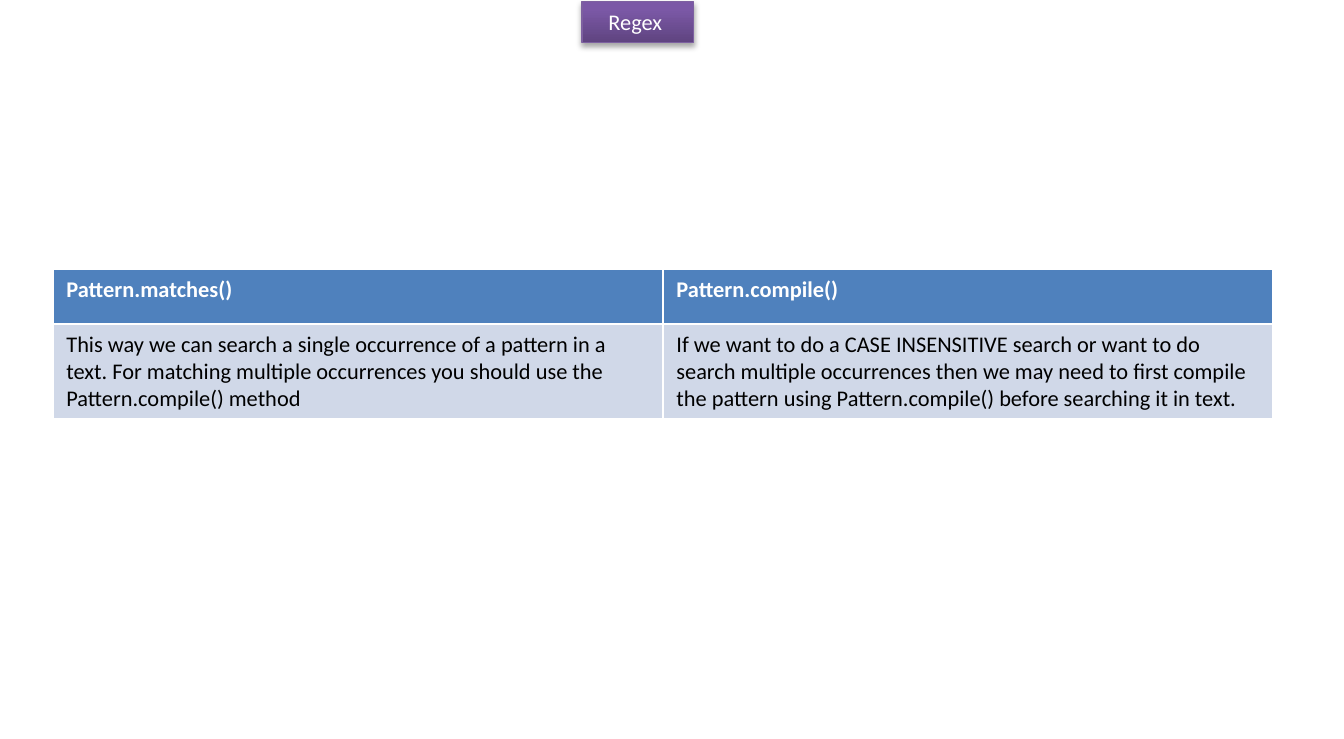
"""Build a slide that sets Pattern.matches() beside Pattern.compile()."""
from copy import deepcopy

from lxml.etree import SubElement
from pptx import Presentation
from pptx.dml.color import RGBColor
from pptx.enum.shapes import MSO_SHAPE
from pptx.enum.text import MSO_AUTO_SIZE, PP_ALIGN
from pptx.oxml.ns import qn
from pptx.util import Cm, Pt

ROWS = [
    ("Pattern.matches()", "Pattern.compile()"),
    (
        "This way we can search a single occurrence of a pattern in a text. "
        "For matching multiple occurrences you should use the Pattern.compile() method",
        "If we want to do a CASE INSENSITIVE search or want to do search multiple "
        "occurrences then we may need to first compile the pattern using "
        "Pattern.compile() before searching it in text.",
    ),
]


def tint(code):
    return RGBColor.from_string(code)


class Deck:
    base = {"name": "Calibri", "size": Pt(12), "bold": False}
    looks = [
        {"fill": "4F81BD", "ink": "FFFFFF", "bold": True, "high": 1.04},
        {"fill": "D0D8E8", "ink": "000000", "bold": False, "high": 1.78},
    ]
    stops = [(0, "5F4480"), (0.8, "7B58A6"), (1, "7C57A8")]

    def __init__(self, wide, high):
        self.show = Presentation()
        self.show.slide_width, self.show.slide_height = Cm(wide), Cm(high)
        self.slide = self.show.slides.add_slide(self.show.slide_layouts[6])

    def label(self, frame, text, ink, **extra):
        line = frame.paragraphs[0]
        run = line.add_run()
        run.text = text
        for key, value in {**self.base, **extra}.items():
            setattr(run.font, key, value)
        run.font.color.rgb = tint(ink)
        return line

    def badge(self, text, *box):
        shape = self.slide.shapes.add_shape(MSO_SHAPE.RECTANGLE, *map(Cm, box))
        self.blend(shape)
        shape.line.color.rgb = tint("7D60A0")
        shape.line.width = Pt(0.75)
        self.shade(shape)
        frame = shape.text_frame
        frame.auto_size = MSO_AUTO_SIZE.SHAPE_TO_FIT_TEXT
        self.label(frame, text, "FFFFFF").alignment = PP_ALIGN.CENTER

    def blend(self, shape):
        fill = shape.fill
        fill.gradient()
        fill.gradient_angle = 90
        group = shape._element.spPr.find(".//" + qn("a:gsLst"))
        group.append(deepcopy(group[-1]))
        for stop, (place, code) in zip(fill.gradient_stops, self.stops):
            stop.position = place
            stop.color.rgb = tint(code)

    def shade(self, shape):
        shape.shadow.inherit = False
        holder = shape._element.spPr.find(qn("a:effectLst"))
        cast = SubElement(holder, qn("a:outerShdw"), blurRad=str(Pt(3.1)),
                          dist=str(Pt(1.8)), dir="5400000", rotWithShape="0")
        color = SubElement(cast, qn("a:srgbClr"), val="000000")
        SubElement(color, qn("a:alpha"), val="35000")

    def table(self, rows, left, top, wide):
        high = sum(look["high"] for look in self.looks)
        box = map(Cm, (left, top, wide, high))
        grid = self.slide.shapes.add_table(len(rows), len(rows[0]), *box).table
        for row, texts, look in zip(grid.rows, rows, self.looks):
            row.height = Cm(look["high"])
            for cell, text in zip(row.cells, texts):
                cell.fill.solid()
                cell.fill.fore_color.rgb = tint(look["fill"])
                self.label(cell.text_frame, text, look["ink"], bold=look["bold"])


def main():
    deck = Deck(25.4, 13.97)
    deck.badge("Regex ", 11, 0.03, 2.11, 0.77)
    deck.table(ROWS, 1, 5.09, 23.06)
    deck.show.save("out.pptx")


if __name__ == "__main__":
    main()
